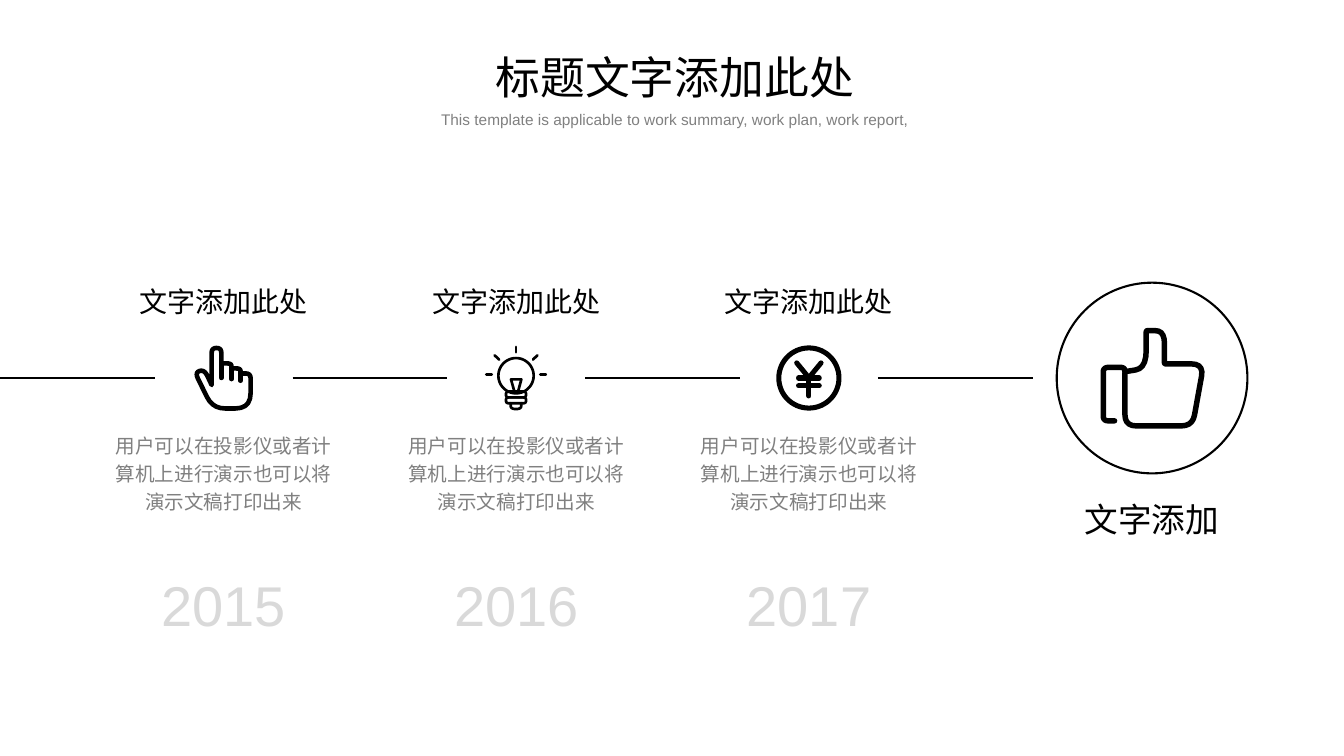
from math import cos, dist, radians, sin

from pptx import Presentation
from pptx.dml.color import RGBColor
from pptx.enum.shapes import MSO_CONNECTOR as CONNECTOR, MSO_SHAPE as SHAPE
from pptx.enum.text import MSO_ANCHOR as ANCHOR, PP_ALIGN as ALIGN
from pptx.oxml.ns import qn
from pptx.util import Pt

COLORS = {"ink": "000000", "body": "808080", "year": "D9D9D9"}
FONT = "Arial"
INK = RGBColor.from_string(COLORS["ink"])

deck = Presentation()
deck.slide_width, deck.slide_height = Pt(960), Pt(540)
slide = deck.slides.add_slide(deck.slide_layouts[5])
shapes = slide.shapes


def write(text, left, top, width, height, size, color="ink", wrap=False, spacing=None, box=None):
    """Put centred text into the given box, or into a new text box."""
    box = box or shapes.add_textbox(0, 0, 0, 0)
    box.left, box.top, box.width, box.height = Pt(left), Pt(top), Pt(width), Pt(height)
    frame = box.text_frame
    frame.word_wrap = wrap
    frame.vertical_anchor = ANCHOR.TOP
    paragraph = frame.paragraphs[0]
    paragraph.text = text
    paragraph.alignment = ALIGN.CENTER
    if spacing:
        paragraph.line_spacing = spacing
    paragraph.font.name = FONT
    paragraph.font.size = Pt(size)
    paragraph.font.color.rgb = RGBColor.from_string(COLORS[color])


def rounded(corners, closed):
    """Turn (x, y, radius) corners into points, rounding each by its radius."""
    points = []
    for i, (x, y, radius) in enumerate(corners):
        is_end = not closed and i in (0, len(corners) - 1)
        if is_end or not radius:
            points.append((x, y))
            continue
        before, after = corners[i - 1][:2], corners[(i + 1) % len(corners)][:2]
        (ax, ay), (bx, by) = [
            (x + (nx - x) * share, y + (ny - y) * share)
            for nx, ny in (before, after)
            for share in [min(0.5, radius / dist((x, y), (nx, ny)))]
        ]
        for t in (0, 0.2, 0.4, 0.6, 0.8, 1):
            a, m, b = (1 - t) ** 2, 2 * t * (1 - t), t ** 2
            points.append((a * ax + m * x + b * bx, a * ay + m * y + b * by))
    return points


# Heading
write("标题文字添加此处", 345.6, 31.8, 273, 46, 32, box=shapes.title)
write("This template is applicable to work summary, work plan, work report,",
      261.4, 72.5, 441.4, 21.6, 11, "body", wrap=True, spacing=1.2)

# Timeline stages
PITCH, FIRST_CENTER, AXIS = 209, 159.8, 270
description = "用户可以在投影仪或者计算机上进行演示也可以将演示文稿打印出来"
for i, year in enumerate(("2015", "2016", "2017")):
    center = FIRST_CENTER + i * PITCH
    write("文字添加此处", center - 67.7, 199.4, 135.4, 31.7, 20)
    write(description, center - 91, 302.8, 182, 68.4, 14, "body", wrap=True, spacing=1.2)
    write(year, center - 52.2, 403.9, 104.4, 55.4, 40, "year")

for i in range(4):
    start = i * PITCH
    axis = shapes.add_connector(CONNECTOR.STRAIGHT, Pt(start), Pt(AXIS), Pt(start + 110.6), Pt(AXIS))
    axis.line.color.rgb = INK
    axis.line.width = Pt(1.5)
    properties = axis._element.spPr
    properties.append(properties.makeelement(qn("a:effectLst"), {}))

# Goal circle
goal = shapes.add_shape(SHAPE.OVAL, Pt(754.8), Pt(201.9), Pt(136.2), Pt(136.2))
goal.shadow.inherit = False
goal.fill.background()
goal.line.color.rgb = INK
goal.line.width = Pt(1.5)

# Icons: origin, line weight, closed outlines, open lines
bulb_glass, coin_rim = [
    [(x + radius * cos(radians(a)), y + radius * sin(radians(a)), 0) for a in range(0, 360, 6)]
    for x, y, radius in ((22.3, 21.6, 12.6), (23.4, 23.2, 21.5))
]
hand = ((139, 247), 3.3, [
    [(12.2, 28.1, 0), (12.2, 1.6, 3.4), (19.1, 1.6, 3.4), (19.1, 12.6, 0), (26.3, 12.6, 3.4),
     (26.3, 16.2, 0), (32.8, 16.2, 3), (32.8, 19.8, 0), (40, 19.8, 3.5), (40, 44.8, 11),
     (12.9, 44.8, 9), (0.2, 19, 5), (7, 17, 5)],
], [
    [(19.1, 12.6, 0), (19.1, 23, 0)],
    [(26.3, 16.2, 0), (26.3, 23.8, 0)],
    [(32.8, 19.8, 0), (32.8, 25, 0)],
])
bulb = ((346.3, 246.8), 1.9, [
    bulb_glass,
    [(18.7, 24.2, 0), (26.1, 24.2, 0), (23.8, 32.8, 0), (21.1, 32.8, 0)],
    *[[(15.1, y, 2), (29.5, y, 2), (29.5, y + 4.2, 2), (15.1, y + 4.2, 2)] for y in (32.9, 37.1)],
], [
    [(18.5, 41.3, 0), (18.5, 45.4, 4), (26, 45.4, 4), (26, 41.3, 0)],
    [(1, 20.9, 0), (5, 20.9, 0)],
    [(39.6, 20.9, 0), (43.6, 20.9, 0)],
    [(22.3, 1, 0), (22.3, 4.9, 0)],
    [(7, 7, 0), (10.2, 10.1, 0)],
    [(37.6, 7, 0), (34.4, 10.1, 0)],
])
coin = ((554.4, 246.8), 3.6, [coin_rim], [
    [(14.7, 12.4, 0), (23.4, 23, 0), (32.1, 12.4, 0)],
    [(23.4, 23, 0), (23.4, 36, 0)],
    [(16, 23.2, 0), (30.8, 23.2, 0)],
    [(16, 28.8, 0), (30.8, 28.8, 0)],
])
thumb = ((786.2, 234), 3.9, [
    [(32.6, 2.2, 1), (45.6, 2.2, 9), (45.6, 25.9, 1), (73.7, 25.9, 9), (65.7, 70.2, 8),
     (17.4, 70.2, 8), (17.4, 31.5, 1), (32.6, 29, 13)],
], [
    [(10, 66.6, 0), (1.9, 66.6, 3.5), (1.9, 28.4, 3.5), (16.9, 28.4, 3), (17.4, 31.5, 0)],
])
for (left, top), weight, outlines, lines in (hand, bulb, coin, thumb):
    builder = None
    for contours, closed in ((outlines, True), (lines, False)):
        for corners in contours:
            first, *rest = [(Pt(left + x), Pt(top + y)) for x, y in rounded(corners, closed)]
            if builder is None:
                builder = shapes.build_freeform(*first)
            else:
                builder.move_to(*first)
            builder.add_line_segments(rest, close=closed)
    icon = builder.convert_to_shape()
    icon.shadow.inherit = False
    icon.fill.background()
    icon.line.color.rgb = INK
    icon.line.width = Pt(weight)
    icon.line._get_or_add_ln().set("cap", "rnd")

# Goal label
write("文字添加", 767, 352.8, 111.6, 36, 24)

deck.save("out.pptx")
